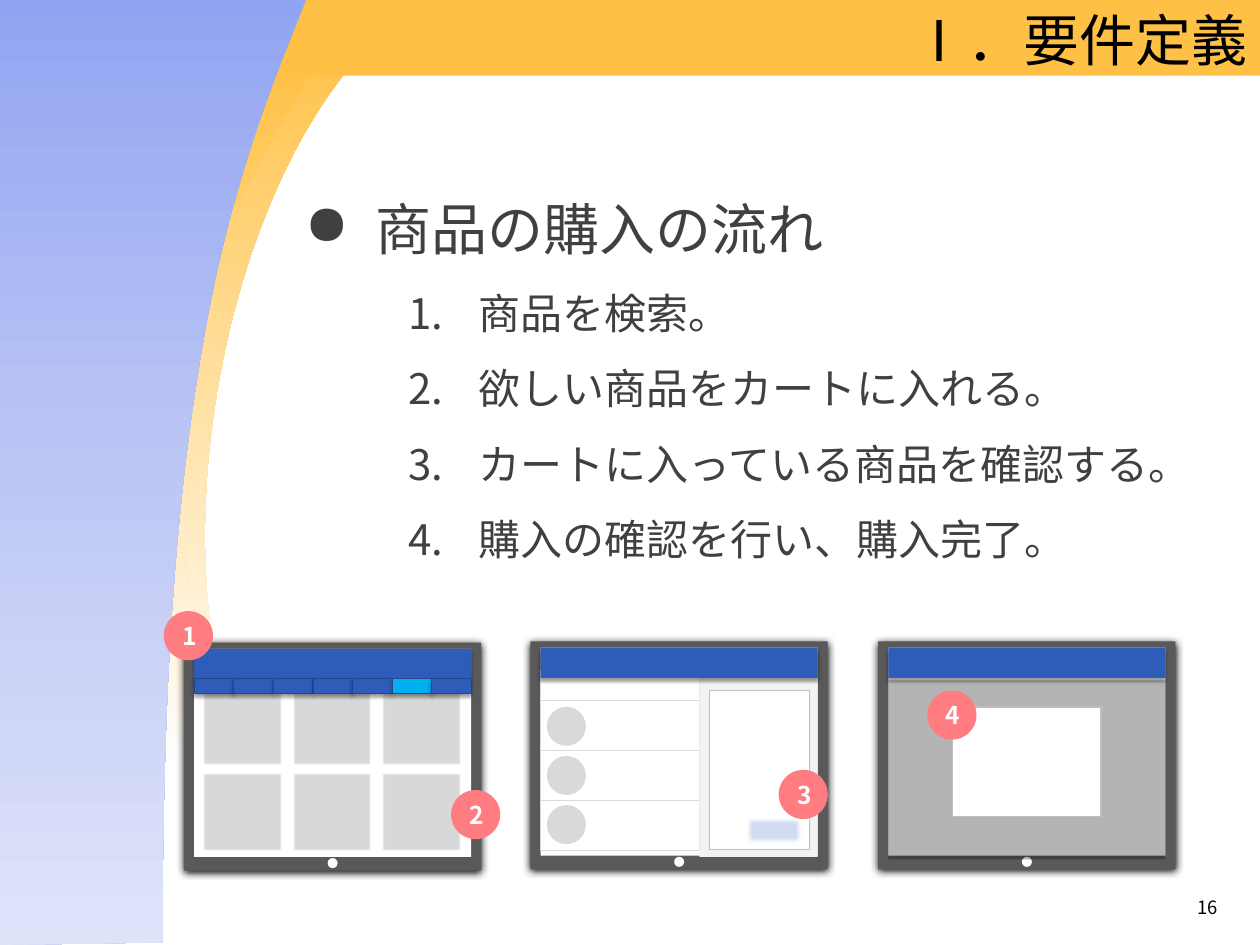
from lxml import etree
from pptx import Presentation
from pptx.dml.color import RGBColor
from pptx.enum.shapes import MSO_SHAPE
from pptx.enum.text import MSO_ANCHOR, PP_ALIGN
from pptx.oxml import parse_xml
from pptx.oxml.ns import qn
from pptx.util import Emu, Inches, Pt

RECT, OVAL, MOON = MSO_SHAPE.RECTANGLE, MSO_SHAPE.OVAL, MSO_SHAPE.MOON
LEFT, CENTER, RIGHT = PP_ALIGN.LEFT, PP_ALIGN.CENTER, PP_ALIGN.RIGHT
TOP, MIDDLE, BOTTOM = MSO_ANCHOR.TOP, MSO_ANCHOR.MIDDLE, MSO_ANCHOR.BOTTOM

BLACK = RGBColor(0x00, 0x00, 0x00)
INK = RGBColor(0x40, 0x40, 0x40)
VEIL = RGBColor(0x08, 0x08, 0x08)
FRAME = RGBColor(0x59, 0x59, 0x59)
OUTLINE = RGBColor(0xBF, 0xBF, 0xBF)
TILE = RGBColor(0xD9, 0xD9, 0xD9)
PANEL = RGBColor(0xF2, 0xF2, 0xF2)
WHITE = RGBColor(0xFF, 0xFF, 0xFF)
AMBER = RGBColor(0xFF, 0xC1, 0x45)
BLUE = RGBColor(0x2D, 0x5C, 0xB9)
NAVY = RGBColor(0x22, 0x45, 0x8B)
CYAN = RGBColor(0x00, 0xB0, 0xF0)
BUTTON = RGBColor(0xD2, 0xDD, 0xF4)
CORAL = RGBColor(0xFF, 0x7C, 0x80)
SKY = [(0, RGBColor(0x91, 0xA4, 0xF1)), (50, RGBColor(0xBD, 0xC7, 0xF5)), (100, RGBColor(0xDF, 0xE3, 0xF9))]
GLOW = [(0, AMBER), (100, WHITE)]

FONT = "Noto Sans CJK JP"
NAMESPACE = 'xmlns:a="http://schemas.openxmlformats.org/drawingml/2006/main"'
COLUMNS, ROWS = 100, 75
FRAME_SHADOW = (100, 5, 1)
BAR_SHADOW = (40, 2, 2)


def write(para, text, size=14, color=BLACK, bold=False, align=LEFT, spacing=None):
    para.alignment = align
    para.line_spacing = spacing
    span = para.add_run()
    span.text = text
    span.font.size = Pt(size)
    span.font.bold = bold
    span.font.name = FONT
    span.font.color.rgb = color
    etree.SubElement(span.font._element, qn("a:ea"), typeface=FONT)


def bezier(start, first, second, end, steps=16):
    for step in range(1, steps + 1):
        t = step / steps
        weights = ((1 - t) ** 3, 3 * t * (1 - t) ** 2, 3 * t * t * (1 - t), t ** 3)
        yield tuple(sum(w * point[axis] for w, point in zip(weights, (start, first, second, end)))
                    for axis in (0, 1))


class SlideBuilder:
    def __init__(self):
        self.deck = Presentation()
        self.deck.slide_width, self.deck.slide_height = Inches(10), Inches(7.5)
        self.page = self.deck.slides.add_slide(self.deck.slide_layouts[6])

    def x(self, columns):
        return Emu(round(self.deck.slide_width * columns / COLUMNS))

    def y(self, rows):
        return Emu(round(self.deck.slide_height * rows / ROWS))

    def place(self, left, top, width, height):
        return self.x(left), self.y(top), self.x(width), self.y(height)

    def paint(self, shape, fill, line=None, weight=0.25, shadow=None, soft=None, alpha=None):
        shape.shadow.inherit = False
        if isinstance(fill, list):
            stops = "".join(f'<a:gs pos="{pos * 1000}"><a:srgbClr val="{color}"/></a:gs>' for pos, color in fill)
            gradient = parse_xml(f'<a:gradFill {NAMESPACE} rotWithShape="1"><a:gsLst>{stops}</a:gsLst>'
                                 '<a:lin ang="5400000" scaled="0"/></a:gradFill>')
            shape._element.spPr.find(qn("a:effectLst")).addprevious(gradient)
        else:
            shape.fill.solid()
            shape.fill.fore_color.rgb = fill
        if line is None:
            shape.line.fill.background()
        else:
            shape.line.color.rgb = line
            shape.line.width = Pt(weight)
        properties = shape._element.spPr
        effects = properties.find(qn("a:effectLst"))
        if alpha:
            etree.SubElement(properties.find(".//" + qn("a:srgbClr")), qn("a:alpha"), val=str(alpha * 1000))
        if shadow:
            opacity, blur, distance = shadow
            effects.append(parse_xml(
                f'<a:outerShdw {NAMESPACE} blurRad="{Pt(blur)}" dist="{Pt(distance)}" dir="5400000" '
                f'algn="t" rotWithShape="0"><a:srgbClr val="{BLACK}"><a:alpha val="{opacity * 1000}"/>'
                '</a:srgbClr></a:outerShdw>'))
        if soft:
            etree.SubElement(effects, qn("a:softEdge"), rad=str(Pt(soft)))

    def shape(self, kind, left, top, width, height, fill, group=None, **style):
        owner = group or self.page
        shape = owner.shapes.add_shape(kind, *self.place(left, top, width, height))
        self.paint(shape, fill, **style)
        return shape

    def outline(self, points, fill):
        corners = [(self.x(column), self.y(row)) for column, row in points]
        builder = self.page.shapes.build_freeform(*corners[0])
        builder.add_line_segments(corners[1:], close=True)
        self.paint(builder.convert_to_shape(), fill)

    def text_box(self, left, top, width, height, anchor=TOP):
        frame = self.page.shapes.add_textbox(*self.place(left, top, width, height)).text_frame
        frame.word_wrap = True
        frame.vertical_anchor = anchor
        return frame

    def bullet(self, para, indent, marker, **attributes):
        properties = para._p.get_or_add_pPr()
        properties.set("marL", str(self.x(indent)))
        properties.set("indent", str(-self.x(5.6)))
        etree.SubElement(properties, qn(marker), **attributes)

    def tablet(self, left, top):
        group = self.page.shapes.add_group_shape()
        self.shape(RECT, left, top, 23.6, 18.1, FRAME, group, shadow=FRAME_SHADOW)
        self.shape(RECT, left + 0.8, top + 0.5, 22, 16.5, WHITE, group)
        self.shape(OVAL, left + 11.4, top + 17.1, 0.8, 0.8, WHITE, group)

    def header(self, left, top):
        self.shape(RECT, left, top, 22, 2.4, BLUE, shadow=BAR_SHADOW)

    def badge(self, left, top, label):
        frame = self.shape(OVAL, left, top, 3.9, 3.9, CORAL).text_frame
        frame.word_wrap = False
        frame.vertical_anchor = BOTTOM
        frame.margin_left = self.x(0.2)
        frame.margin_right = frame.margin_top = 0
        frame.margin_bottom = self.y(0.2)
        write(frame.paragraphs[0], label, color=WHITE, bold=True, align=CENTER)


def main():
    slide = SlideBuilder()

    slide.shape(MOON, 10.3, 2.9, 13.8, 56.7, GLOW).rotation = 9.3
    slide.outline([(20.5, 60.8), (0, 60.8), (0, 5), (25, 5), (15.2, 22.4), (13.6, 39.8), (16.7, 54.6)], GLOW)
    slide.shape(RECT, 0, -0.1, 100, 6.1, AMBER)
    upper = bezier((24.4, -0.3), (23.1, 3.3), (19.4, 10.9), (16.8, 23.5))
    lower = bezier((16.8, 23.5), (14.3, 36.1), (12.9, 51), (12.9, 74.8))
    slide.outline([(24.4, -0.3), *upper, *lower, (0, 75), (0, -0.3)], SKY)

    title = slide.text_box(24.8, 0, 75.2, 6.2, MIDDLE)
    write(title.paragraphs[0], "Ⅰ．要件定義", size=32, align=RIGHT)
    number = slide.text_box(79.9, 70.6, 17.7, 2.9)
    write(number.paragraphs[0], "16", size=10.5, align=RIGHT)

    flow = slide.text_box(23.2, 12.3, 74, 34.6)
    heading = flow.paragraphs[0]
    write(heading, "商品の購入の流れ", size=32, color=INK, spacing=1.5)
    slide.bullet(heading, 5.6, "a:buChar", char="●")
    for step in ("商品を検索。", "欲しい商品をカートに入れる。",
                 "カートに入っている商品を確認する。", "購入の確認を行い、購入完了。"):
        para = flow.add_paragraph()
        para.level = 1
        write(para, step, size=24, color=INK, spacing=1.5)
        slide.bullet(para, 13.8, "a:buAutoNum", type="arabicPeriod")

    for left, top in ((14.6, 51), (42.1, 50.9), (69.7, 50.9)):
        slide.tablet(left, top)

    for row in range(2):
        for column in range(3):
            slide.shape(RECT, 16.1 + 7.1 * column, 54.5 + 6.8 * row, 6.3, 6.3, TILE, soft=1)
    slide.header(15.4, 51.5)
    for tab in range(7):
        slide.shape(RECT, 15.4 + 22 / 7 * tab, 53.8, 22 / 7, 1.2, CYAN if tab == 5 else BLUE,
                    line=NAVY, shadow=BAR_SHADOW)

    slide.shape(RECT, 42.9, 53.2, 12.6, 2.4, WHITE, line=TILE)
    for item in range(3):
        slide.shape(RECT, 42.9, 55.6 + 3.95 * item, 12.6, 3.95, WHITE, line=TILE)
        slide.shape(OVAL, 43.4, 56.1 + 3.9 * item, 3.1, 3.1, TILE)
    slide.shape(RECT, 55.5, 53.8, 9.4, 14.2, PANEL)
    slide.header(42.9, 51.4)
    slide.shape(RECT, 56.3, 54.8, 7.9, 12.6, WHITE, line=OUTLINE)
    slide.shape(RECT, 59.1, 64.7, 4.7, 2.4, BUTTON, soft=2.5)

    slide.header(70.5, 51.4)
    slide.shape(RECT, 70.5, 54, 22, 14.2, VEIL, alpha=30)
    slide.shape(RECT, 75.6, 56.1, 11.8, 8.7, WHITE, line=OUTLINE, weight=1)

    for left, top, label in ((13, 48.5, "1"), (35.8, 62.7, "2"), (61.8, 61.1, "3"), (73.6, 54.8, "4")):
        slide.badge(left, top, label)

    slide.deck.save("out.pptx")


if __name__ == "__main__":
    main()
